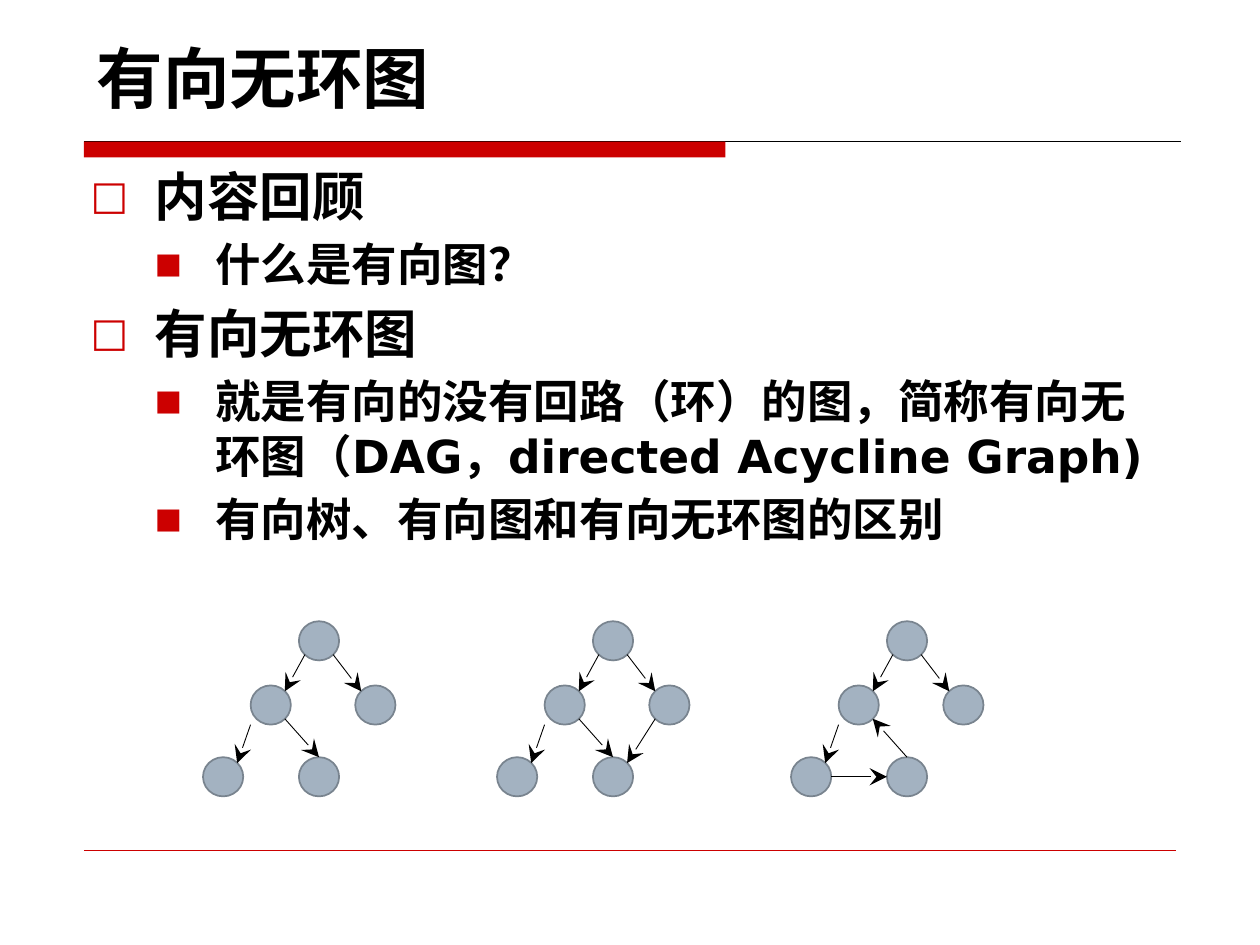
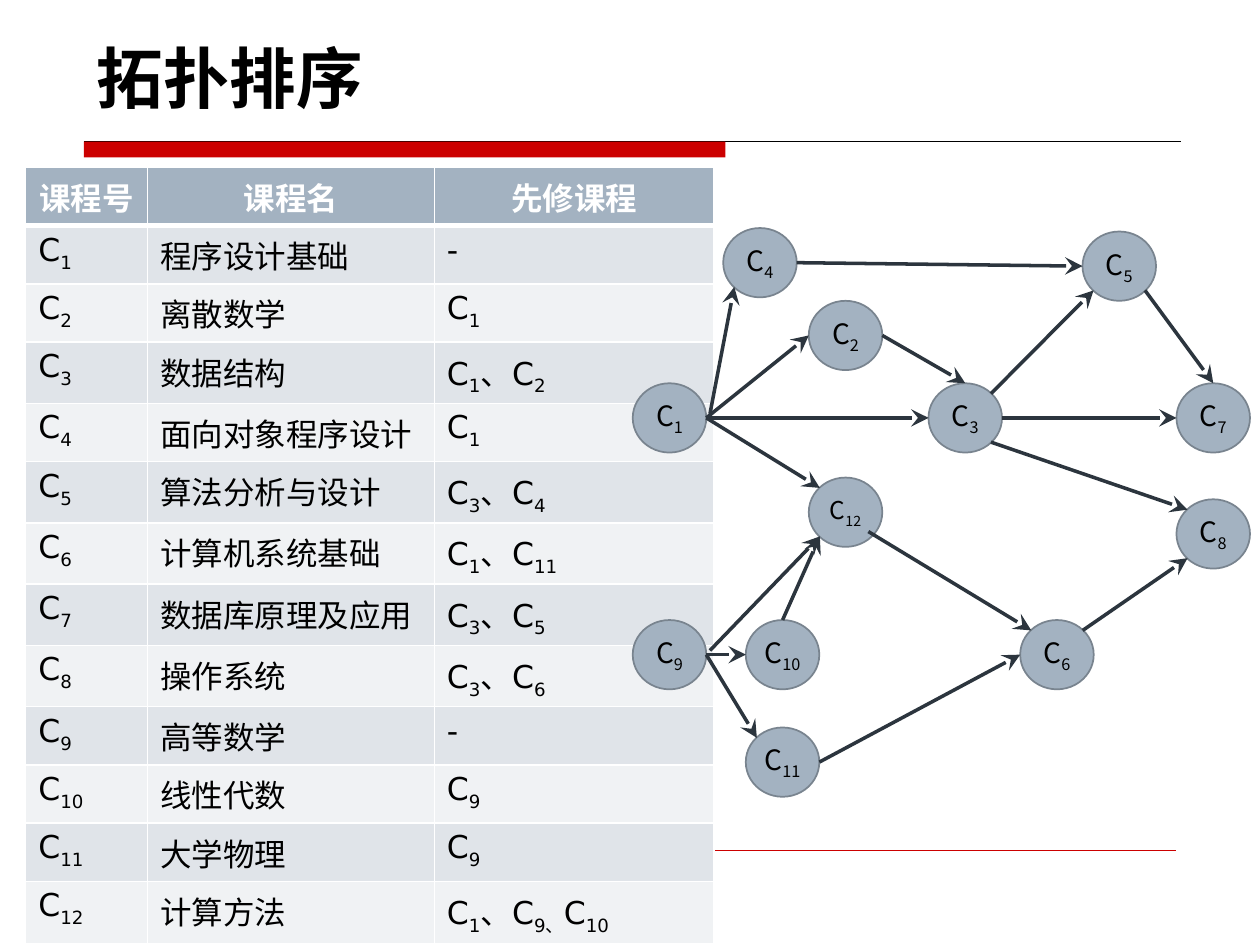
import pptx
import pptx.dml.color
import pptx.enum.shapes
import pptx.enum.text
import pptx.oxml
import pptx.oxml.ns
import pptx.util

Pt = pptx.util.Pt
RGBColor = pptx.dml.color.RGBColor
SHAPE = pptx.enum.shapes.MSO_SHAPE
ANCHOR = pptx.enum.text.MSO_ANCHOR
ALIGN = pptx.enum.text.PP_ALIGN

RED = RGBColor(0xCC, 0x00, 0x00)
BLACK = RGBColor(0x00, 0x00, 0x00)
WHITE = RGBColor(0xFF, 0xFF, 0xFF)
NODE_FILL = RGBColor(0xA3, 0xB2, 0xC1)
NODE_LINE = RGBColor(0x79, 0x84, 0x8F)
EDGE = RGBColor(0x2C, 0x35, 0x3E)
ROW_FILLS = (RGBColor(0xE0, 0xE4, 0xE9), RGBColor(0xF0, 0xF2, 0xF4))
SANS = "DejaVu Sans"
CJK = "Noto Sans CJK SC"

DAG_TITLE = "有向无环图"
OUTLINE = [
    (0, "内容回顾"),
    (1, "什么是有向图？"),
    (0, "有向无环图"),
    (1, "就是有向的没有回路（环）的图，简称有向无环图（DAG，directed Acycline Graph)"),
    (1, "有向树、有向图和有向无环图的区别"),
]
LEVELS = [
    {"size": 30, "indent": 36.7, "hang": 36.7, "bullet": "□", "percent": 76},
    {"size": 26, "indent": 71.3, "hang": 34.6, "bullet": "■", "percent": 63},
]

# Sides of a node, as fractions of its width and height from its centre
SIDES = {
    "n": (0, -0.5), "s": (0, 0.5), "w": (-0.5, 0), "e": (0.5, 0),
    "nw": (-0.35, -0.35), "ne": (0.35, -0.35),
    "sw": (-0.35, 0.35), "se": (0.35, 0.35),
    "corner": (-0.5, 0.5), "beside e": (0.55, -0.06), "inside se": (0.31, 0.28),
}

SMALL_NODES = {"root": (54.8, 355), "left": (27.2, 391.7), "right": (87, 391.7),
               "leaf 1": (0, 432.7), "leaf 2": (54.8, 432.7)}
SMALL_SIZE = (23, 22.4)
COMMON_EDGES = [("root", "sw", "left", "ne"), ("left", "corner", "leaf 1", "ne"),
                ("root", "se", "right", "nw")]
DOWN_EDGE = ("left", "se", "leaf 2", "n")
GRAPH_EDGES = [
    [DOWN_EDGE],
    [DOWN_EDGE, ("right", "sw", "leaf 2", "ne")],
    [("leaf 2", "n", "left", "se"), ("leaf 1", "e", "leaf 2", "w")],
]
GRAPH_LEFT, GRAPH_STEP = 116, 168

SORT_TITLE = "拓扑排序"
# Text in square brackets is set as a subscript
HEADER = ("课程号", "课程名", "先修课程")
COURSES = [
    ("程序设计基础", "-"),
    ("离散数学", "C[1]"),
    ("数据结构", "C[1]、C[2]"),
    ("面向对象程序设计", "C[1]"),
    ("算法分析与设计", "C[3]、C[4]"),
    ("计算机系统基础", "C[1]、C[11]"),
    ("数据库原理及应用", "C[3]、C[5]"),
    ("操作系统", "C[3]、C[6]"),
    ("高等数学", "-"),
    ("线性代数", "C[9]"),
    ("大学物理", "C[9]"),
    ("计算方法", "C[1]、C[9、]C[10]"),
]
COLUMN_WIDTHS = (69.6, 163.9, 159.7)
TABLE_LEFT, TABLE_TOP, TABLE_HEIGHT = 14.7, 95.7, 378

COURSE_NODES = {
    1: (361.6, 219), 4: (413.3, 130.3), 2: (462.2, 171.9), 12: (462.2, 272.9),
    3: (530.6, 219), 5: (618.6, 132.3), 7: (672.3, 219), 9: (361.6, 354.3),
    10: (426.2, 354.3), 11: (426.2, 415.7), 6: (583, 354.3), 8: (672.3, 285.3),
}
COURSE_SIZE = (42, 39.6)
COURSE_EDGES = [
    (1, "beside e", 4, "sw"), (1, "e", 2, "w"), (1, "e", 3, "w"), (4, "e", 5, "w"),
    (2, "e", 3, "n"), (3, "e", 7, "w"), (9, "beside e", 12, "sw"), (3, "ne", 5, "sw"),
    (5, "se", 7, "n"), (1, "e", 12, "nw"), (9, "e", 10, "w"), (10, "n", 12, "sw"),
    (9, "e", 11, "nw"), (11, "e", 6, "w"), (6, "ne", 8, "sw"),
    (12, "inside se", 6, "nw"), (3, "se", 8, "nw"),
]


def xml(markup):
    """Parse one element of the drawing namespace, given without its a: prefix."""
    name, space, rest = markup.partition(" ")
    return pptx.oxml.parse_xml(
        f"<a:{name} {pptx.oxml.ns.nsdecls('a')} {rest}")


def set_all(target, values):
    for name, value in values.items():
        setattr(target, name, value)


def place(shape, left, top, width, height):
    set_all(shape, {"left": Pt(left), "top": Pt(top),
                    "width": Pt(width), "height": Pt(height)})


def add_text(para, text, size, color=BLACK, bold=False, latin=SANS, east_asian=CJK):
    """Add runs to a paragraph, with bracketed parts as subscripts."""
    for number, part in enumerate(text.replace("]", "[").split("[")):
        if not part:
            continue
        span = para.add_run()
        span.text = part
        set_all(span.font, {"size": Pt(size), "bold": bold, "name": latin})
        span.font.color.rgb = color
        properties = span.font._element
        properties.append(xml(f'ea typeface="{east_asian}"/>'))
        if number % 2:
            properties.set("baseline", "-25000")


def add_line(slide, start, end, color, width, arrow=False):
    line = slide.shapes.add_connector(
        pptx.enum.shapes.MSO_CONNECTOR.STRAIGHT, *map(Pt, (*start, *end)))
    line.line.color.rgb = color
    line.line.width = Pt(width)
    properties = line._element.spPr
    if arrow:
        outline = properties.find(pptx.oxml.ns.qn("a:ln"))
        outline.append(xml('tailEnd type="stealth" w="lg" len="lg"/>'))
    properties.append(xml("effectLst />"))
    return line


def add_shared_lines(deck, slide):
    """Draw the title band and footer rule, and move them to the master."""
    band = slide.shapes.add_shape(SHAPE.RECTANGLE, Pt(48), Pt(81), Pt(366.5), Pt(9))
    band.shadow.inherit = False
    band.fill.solid()
    band.fill.fore_color.rgb = RED
    band.line.fill.background()
    title_rule = add_line(slide, (48, 81), (675, 81), BLACK, 0.75)
    footer_rule = add_line(slide, (48, 486), (672, 486), RED, 0.25)
    for shape in (title_rule, band, footer_rule):
        deck.slide_master.shapes.element.append(shape._element)


def add_slide(deck, layout, title):
    slide = deck.slides.add_slide(deck.slide_layouts[layout])
    box = slide.shapes.title
    place(box, 48, 8.6, 472.3, 62)
    set_all(box.text_frame, {"vertical_anchor": ANCHOR.BOTTOM, "word_wrap": True,
                             "auto_size": pptx.enum.text.MSO_AUTO_SIZE.NONE})
    para = box.text_frame.paragraphs[0]
    para.alignment = ALIGN.LEFT
    add_text(para, title, 38, bold=True, east_asian=SANS)
    return slide


def fill_outline(box):
    place(box, 44.6, 90, 630, 384.5)
    frame = box.text_frame
    frame.auto_size = pptx.enum.text.MSO_AUTO_SIZE.NONE
    for number, (level, text) in enumerate(OUTLINE):
        para = frame.add_paragraph() if number else frame.paragraphs[0]
        style = LEVELS[level]
        size = style["size"]
        set_all(para, {"level": level, "space_before": Pt(size * 0.2),
                       "line_spacing": Pt(size * 1.2)})
        properties = para._p.get_or_add_pPr()
        properties.set("marL", str(Pt(style["indent"])))
        properties.set("indent", str(-Pt(style["hang"])))
        for markup in (f'buClr ><a:srgbClr val="{RED}"/></a:buClr>',
                       f'buSzPct val="{style["percent"] * 1000}"/>',
                       f'buFont typeface="{SANS}"/>',
                       f'buChar char="{style["bullet"]}"/>'):
            properties.append(xml(markup))
        add_text(para, text, size, bold=True, east_asian=SANS)


def add_graph(slide, nodes, size, edges, preset, color, width, left=0):
    """Draw nodes and arrows; return the node shapes by name."""
    shapes = {}
    for name, (x, y) in nodes.items():
        node = slide.shapes.add_shape(preset, *map(Pt, (left + x, y, *size)))
        node.shadow.inherit = False
        node.fill.solid()
        node.fill.fore_color.rgb = NODE_FILL
        node.line.color.rgb = NODE_LINE
        node.line.width = Pt(1)
        shapes[name] = node

    def point(name, side):
        return [offset + corner + length * (0.5 + part) for offset, corner, length, part
                in zip((left, 0), nodes[name], size, SIDES[side])]

    for source, source_side, target, target_side in edges:
        add_line(slide, point(source, source_side), point(target, target_side),
                 color, width, arrow=True)
    return shapes


def add_course_table(slide):
    rows = [HEADER] + [(f"C[{number}]", *course)
                       for number, course in enumerate(COURSES, 1)]
    table = slide.shapes.add_table(
        len(rows), len(HEADER), Pt(TABLE_LEFT), Pt(TABLE_TOP),
        Pt(sum(COLUMN_WIDTHS)), Pt(TABLE_HEIGHT)).table
    for column, width in zip(table.columns, COLUMN_WIDTHS):
        column.width = Pt(width)
    for row, texts in enumerate(rows):
        is_header = row == 0
        for column, text in enumerate(texts):
            cell = table.cell(row, column)
            cell.fill.solid()
            cell.fill.fore_color.rgb = NODE_FILL if is_header else ROW_FILLS[(row - 1) % 2]
            para = cell.text_frame.paragraphs[0]
            para.alignment = ALIGN.CENTER if is_header else ALIGN.LEFT
            add_text(para, text, 18, WHITE if is_header else BLACK, is_header)
            for place_in_cell, side in enumerate("LRTB"):
                thick = (is_header and side == "B") or (row == 1 and side == "T")
                cell._tc.get_or_add_tcPr().insert(place_in_cell, xml(
                    f'ln{side} w="{Pt(3 if thick else 1)}"><a:solidFill>'
                    f'<a:srgbClr val="{WHITE}"/></a:solidFill></a:ln{side}>'))


def label_courses(shapes):
    for number, node in shapes.items():
        frame = node.text_frame
        set_all(frame, {"margin_left": 0, "margin_right": 0,
                        "vertical_anchor": ANCHOR.MIDDLE, "word_wrap": True})
        para = frame.paragraphs[0]
        para.alignment = ALIGN.CENTER
        add_text(para, f"C[{number}]", 14 if number == 12 else 16, latin=CJK)


def main():
    deck = pptx.Presentation()
    set_all(deck, {"slide_width": Pt(720), "slide_height": Pt(540)})

    slide = add_slide(deck, 1, DAG_TITLE)
    add_shared_lines(deck, slide)
    fill_outline(slide.placeholders[1])
    for number, edges in enumerate(GRAPH_EDGES):
        add_graph(slide, SMALL_NODES, SMALL_SIZE, COMMON_EDGES + edges,
                  SHAPE.FLOWCHART_CONNECTOR, BLACK, 0.5,
                  GRAPH_LEFT + number * GRAPH_STEP)

    slide = add_slide(deck, 5, SORT_TITLE)
    add_course_table(slide)
    label_courses(add_graph(slide, COURSE_NODES, COURSE_SIZE, COURSE_EDGES,
                            SHAPE.OVAL, EDGE, 2))
    deck.save("out.pptx")


if __name__ == "__main__":
    main()
